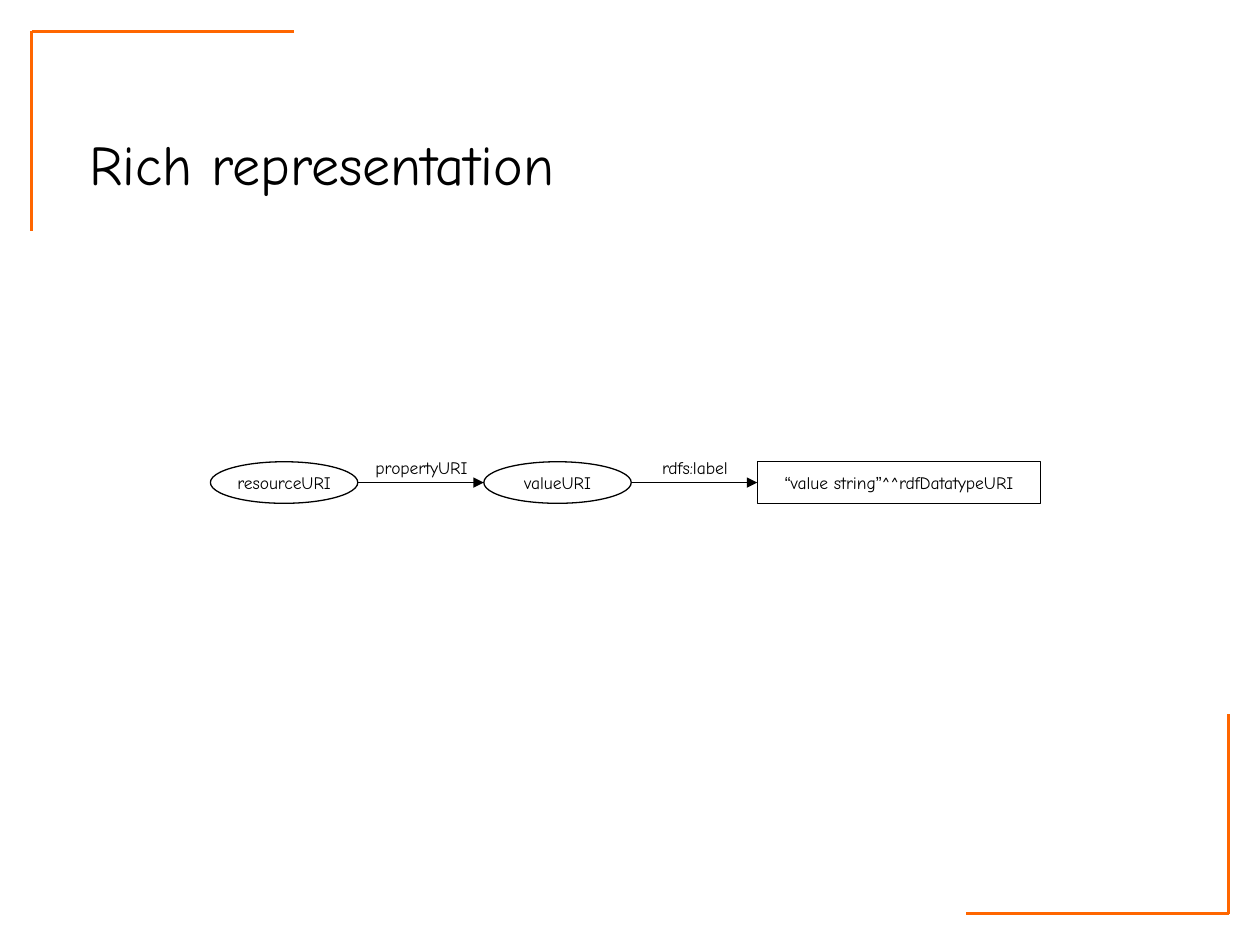
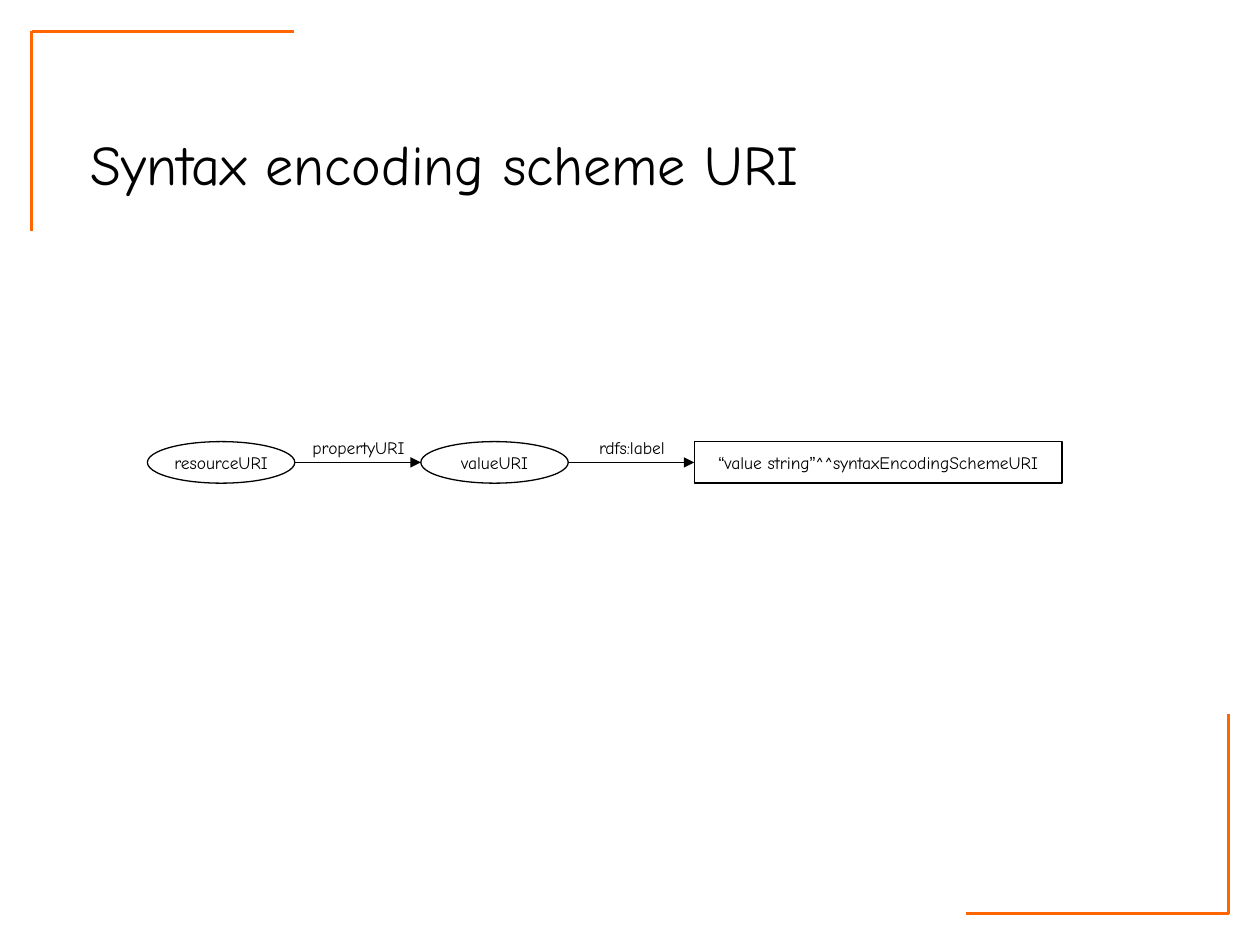
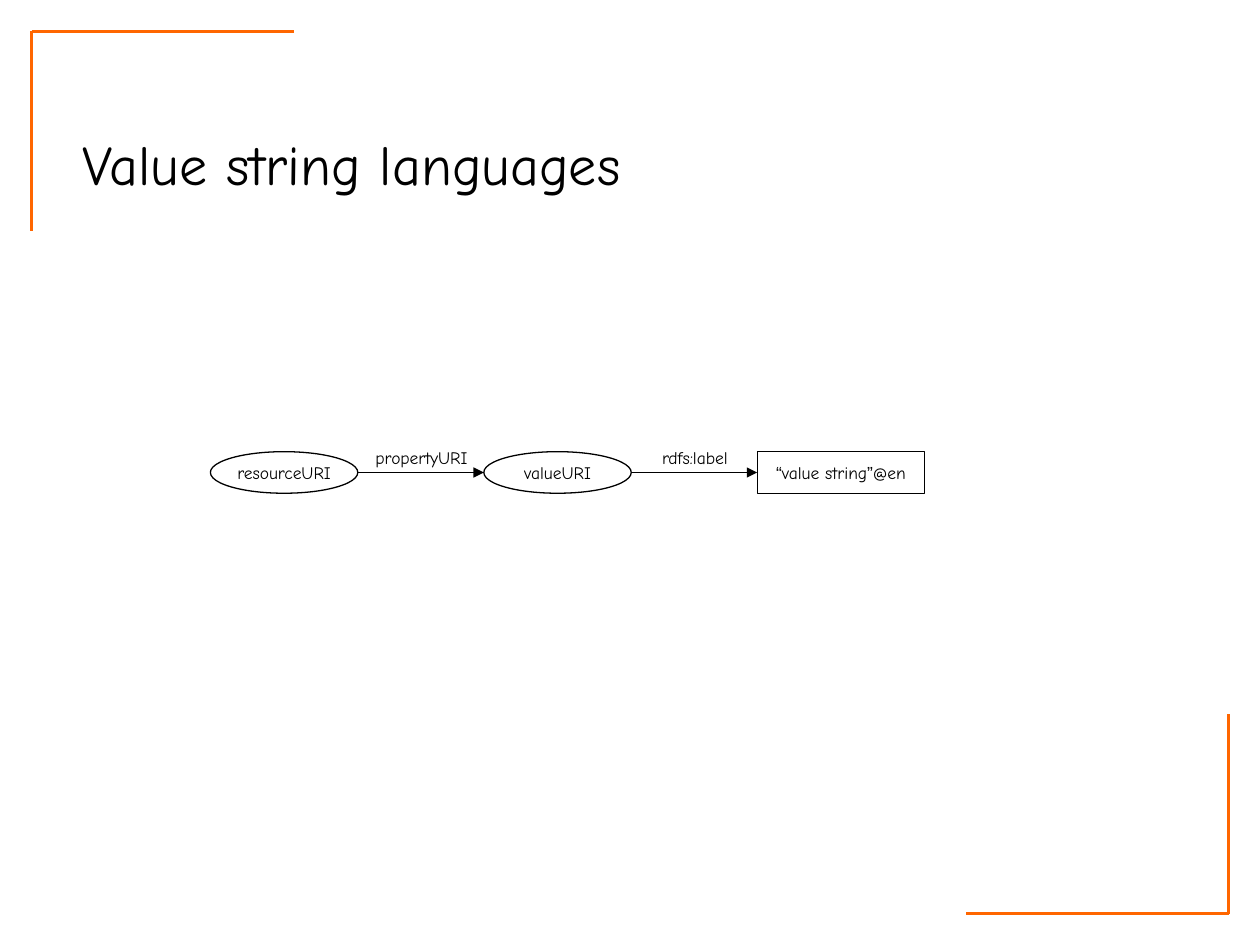
"""Build three slides of RDF value string diagrams."""
from itertools import groupby

from pptx import Presentation
from pptx import util as u
from pptx.dml.color import RGBColor
from pptx.enum import shapes, text
from pptx.oxml.ns import qn
from lxml import etree

BLACK = RGBColor(0x00, 0x00, 0x00)
WHITE = RGBColor(0xFF, 0xFF, 0xFF)
ORANGE = RGBColor(0xFF, 0x66, 0x00)
FONT = "Comic Neue"
QUOTE_FONT = "Arial"
NODE_W, NODE_H, ARROW_W = 1.17, 0.33, 1.0
CORNERS = [
    (9.75, 7.25, 9.75, 5.67),
    (7.67, 7.25, 9.75, 7.25),
    (0.25, 0.25, 2.33, 0.25),
    (0.25, 1.83, 0.25, 0.25),
]
SLIDES = [
    ("Rich representation", 0.61, 3.92, 1.67, 3.83, "“value string”^^rdfDatatypeURI", 2.25),
    ("Syntax encoding scheme URI", 0.62, 5.84, 1.17, 3.67, "“value string”^^syntaxEncodingSchemeURI", 2.92),
    ("Value string languages", 0.56, 4.49, 1.67, 3.75, "“value string”@en", 1.33),
]


def add_text(s, words, x, y, w, h, kind=None, size=10, align=text.PP_ALIGN.CENTER, wrap=False):
    box = [u.Inches(v) for v in (x, y, w, h)]
    if kind is None:
        sp = s.shapes.add_textbox(*box)
    else:
        sp = s.shapes.add_shape(kind, *box)
        sp.shadow.inherit = False
        sp.fill.solid()
        sp.fill.fore_color.rgb = WHITE
        sp.line.color.rgb = BLACK
        sp.line.width = u.Pt(0.75)
    tf = sp.text_frame
    tf.word_wrap = wrap
    if kind is None:
        tf.auto_size = text.MSO_AUTO_SIZE.SHAPE_TO_FIT_TEXT
    else:
        tf.vertical_anchor = text.MSO_ANCHOR.MIDDLE
    p = tf.paragraphs[0]
    p.alignment = align
    for is_quote, chars in groupby(words, lambda c: c in "“”"):
        r = p.add_run()
        r.text = "".join(chars)
        r.font.name = QUOTE_FONT if is_quote else FONT
        r.font.size = u.Pt(size)
        r.font.color.rgb = BLACK


def add_line(s, x1, y1, x2, y2, color=BLACK, width=0.75, arrow=False):
    ends = [u.Inches(v) for v in (x1, y1, x2, y2)]
    c = s.shapes.add_connector(shapes.MSO_CONNECTOR.STRAIGHT, *ends)
    c.line.color.rgb = color
    c.line.width = u.Pt(width)
    if arrow:
        etree.SubElement(c.line._get_or_add_ln(), qn("a:tailEnd"), type="triangle")
    etree.SubElement(c._element.spPr, qn("a:effectLst"))


prs = Presentation()
prs.slide_width, prs.slide_height = u.Inches(10), u.Inches(7.5)

for title, title_x, title_w, x, mid_y, value, value_w in SLIDES:
    s = prs.slides.add_slide(prs.slide_layouts[6])
    for corner in CORNERS:
        add_line(s, *corner, color=ORANGE, width=2)
    top = mid_y - NODE_H / 2
    for node, label in [("resourceURI", "propertyURI"), ("valueURI", "rdfs:label")]:
        add_text(s, node, x, top, NODE_W, NODE_H, kind=shapes.MSO_SHAPE.OVAL)
        x += NODE_W
        add_line(s, x, mid_y, x + ARROW_W, mid_y, arrow=True)
        add_text(s, label, x - 0.08, mid_y - 0.25, NODE_W, 0.27, wrap=True)
        x += ARROW_W
    add_text(s, value, x, top, value_w, NODE_H, kind=shapes.MSO_SHAPE.RECTANGLE)
    add_text(s, title, title_x, 0.98, title_w, 0.64, size=32, align=text.PP_ALIGN.LEFT)

prs.save("out.pptx")
